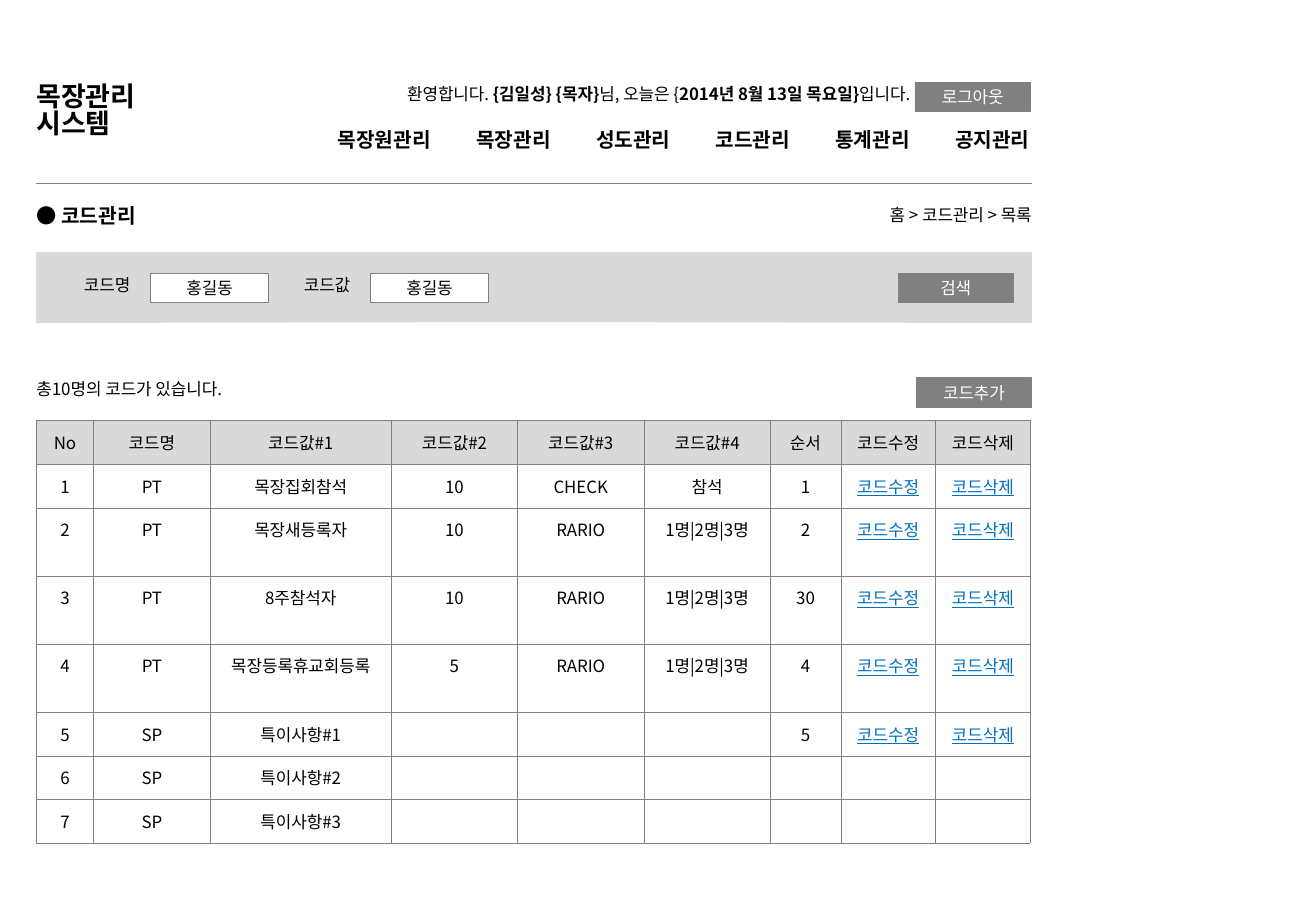
"""Build the code management list screen of the ranch management system."""
from pptx import Presentation
from pptx.dml.color import RGBColor
from pptx.enum.shapes import MSO_CONNECTOR, MSO_SHAPE
from pptx.enum.text import PP_ALIGN as ALIGN
from pptx.oxml.ns import qn
from pptx.util import Inches, Pt
from lxml.etree import SubElement

FONT = "Noto Sans CJK KR"
BLACK, WHITE, GRAY, LIGHT, BLUE = (RGBColor.from_string(code) for code in (
    "000000", "FFFFFF", "808080", "D9D9D9", "0070C0"))
LEFT, RIGHT = 0.3, 8.49
BUTTON_WIDTH, FIELD_WIDTH, CONTROL_HEIGHT = 0.95, 0.97, 0.24
SEARCH_TOP = 2.25


def style(text_frame, size=10, color=BLACK, align=ALIGN.CENTER, bold=False, spacing=1.0):
    """Format every paragraph and run of a text frame."""
    for paragraph in text_frame.paragraphs:
        paragraph.alignment = align
        paragraph.line_spacing = spacing
        for run in paragraph.runs:
            run.font.size, run.font.name, run.font.bold = Pt(size), FONT, bold
            run.font.color.rgb = color
            SubElement(run.font._element, qn("a:ea"), typeface=FONT)


def add_label(text, left, top, width, height, **formats):
    """Add a text box without insets and return its text frame."""
    text_frame = slide.shapes.add_textbox(*map(Inches, (left, top, width, height))).text_frame
    text_frame.word_wrap = True
    text_frame.margin_left = text_frame.margin_right = 0
    text_frame.margin_top = text_frame.margin_bottom = 0
    text_frame.text = text
    style(text_frame, **{"align": ALIGN.LEFT, "spacing": 0.9, **formats})
    return text_frame


presentation = Presentation()
presentation.slide_width, presentation.slide_height = Inches(10.83), Inches(7.5)
slide = presentation.slides.add_slide(presentation.slide_layouts[6])

columns = [0.47, 0.96, 1.49, 1.04, 1.04, 1.04, 0.58, 0.78, 0.78]
choices = "1명|2명|3명"
links = ["코드수정", "코드삭제"]
rows = [
    ["No", "코드명", "코드값#1", "코드값#2", "코드값#3", "코드값#4", "순서", *links],
    ["1", "PT", "목장집회참석", "10", "CHECK", "참석", "1", *links],
    ["2", "PT", "목장새등록자", "10", "RARIO", choices, "2", *links],
    ["3", "PT", "8주참석자", "10", "RARIO", choices, "30", *links],
    ["4", "PT", "목장등록휴교회등록", "5", "RARIO", choices, "4", *links],
    ["5", "SP", "특이사항#1", "", "", "", "5", *links],
    ["6", "SP", "특이사항#2", "", "", "", "", "", ""],
    ["7", "SP", "특이사항#3", "", "", "", "", "", ""],
]
table = slide.shapes.add_table(
    len(rows), len(columns), Inches(LEFT), Inches(3.46), Inches(sum(columns)), Inches(2.48)).table
table.first_row = table.horz_banding = False
for column, width in zip(table.columns, columns):
    column.width = Inches(width)
for row_index, values in enumerate(rows):
    table.rows[row_index].height = Inches(0.31)
    for column_index, value in enumerate(values):
        cell = table.cell(row_index, column_index)
        cell.margin_left = cell.margin_right = Inches(0.08)
        cell.margin_top = cell.margin_bottom = Inches(0.08)
        cell.text = value
        is_link = row_index > 0 and value in links
        style(cell.text_frame, color=BLUE if is_link else BLACK)
        paragraph = cell.text_frame.paragraphs[0]
        for run in paragraph.runs:
            run.font.underline = is_link
        if not value:
            SubElement(paragraph._p, qn("a:endParaRPr"), sz="1000")
        properties = cell._tc.get_or_add_tcPr()
        for side in ("lnL", "lnR", "lnT", "lnB"):
            border = SubElement(properties, qn(f"a:{side}"), w=str(Pt(0.25)))
            border_fill = SubElement(border, qn("a:solidFill"))
            SubElement(border_fill, qn("a:srgbClr"), val=str(GRAY))
        if row_index == 0:
            cell.fill.solid()
            cell.fill.fore_color.rgb = LIGHT
        else:
            cell.fill.background()

divider = slide.shapes.add_connector(
    MSO_CONNECTOR.STRAIGHT, Inches(LEFT), Inches(1.51), Inches(RIGHT), Inches(1.51))
divider.line.color.rgb, divider.line.width = GRAY, Pt(0.75)
SubElement(divider._element.spPr, qn("a:effectLst"))

boxes = [
    ("", LEFT, 2.08, RIGHT - LEFT, 0.57, LIGHT, LIGHT, BLACK),
    ("로그아웃", 7.53, 0.68, BUTTON_WIDTH, CONTROL_HEIGHT, GRAY, GRAY, WHITE),
    ("코드추가", 7.54, 3.11, BUTTON_WIDTH, CONTROL_HEIGHT, GRAY, GRAY, WHITE),
    ("검색", 7.39, SEARCH_TOP, BUTTON_WIDTH, CONTROL_HEIGHT, GRAY, GRAY, WHITE),
    ("홍길동", 1.24, SEARCH_TOP, FIELD_WIDTH, CONTROL_HEIGHT, WHITE, GRAY, BLACK),
    ("홍길동", 3.05, SEARCH_TOP, FIELD_WIDTH, CONTROL_HEIGHT, WHITE, GRAY, BLACK),
]
for text, left, top, width, height, fill, outline, color in boxes:
    shape = slide.shapes.add_shape(
        MSO_SHAPE.RECTANGLE, *map(Inches, (left, top, width, height)))
    shape.shadow.inherit = False
    shape.fill.solid()
    shape.fill.fore_color.rgb = fill
    shape.line.color.rgb, shape.line.width = outline, Pt(0.25)
    if text:
        shape.text_frame.text = text
        style(shape.text_frame, color=color)

add_label("목장관리\n시스템", LEFT, 0.7, 0.88, 0.54, size=16, bold=True, spacing=0.83)
add_label("● 코드관리", LEFT, 1.7, 2.13, 0.2, size=12, bold=True)
add_label("홈 > 코드관리 > 목록", 5.47, 1.7, 3.02, 0.17, align=ALIGN.RIGHT)
add_label("총10명의 코드가 있습니다.", LEFT, 3.14, 1.71, 0.17)
for text, left in (("코드명", 0.69), ("코드값", 2.5)):
    add_label(text, left, 2.28, 0.42, 0.17)

greeting = add_label("", 1.24, 0.71, 6.25, 0.17)
greeting_parts = ["환영합니다. ", "{김일성} {목자}", "님, 오늘은 {",
                  "2014년 8월 13일 목요일}", "입니다."]
for part in greeting_parts:
    greeting.paragraphs[0].add_run().text = part
style(greeting, align=ALIGN.RIGHT, spacing=0.9)
for run in greeting.paragraphs[0].runs[1::2]:
    run.font.bold = True

menu_items = ["목장원관리", "목장관리", "성도관리", "코드관리", "통계관리", "공지관리"]
menu_left, first_stop, stop_gap = 2.78, 1.14, 0.985
menu = add_label("\t".join(menu_items), menu_left, 1.07, RIGHT - menu_left, 0.2,
                 size=12, bold=True)
tab_stops = SubElement(menu.paragraphs[0]._p.get_or_add_pPr(), qn("a:tabLst"))
for index in range(len(menu_items) - 1):
    SubElement(tab_stops, qn("a:tab"), pos=str(Inches(first_stop + index * stop_gap)), algn="l")

presentation.save("out.pptx")
